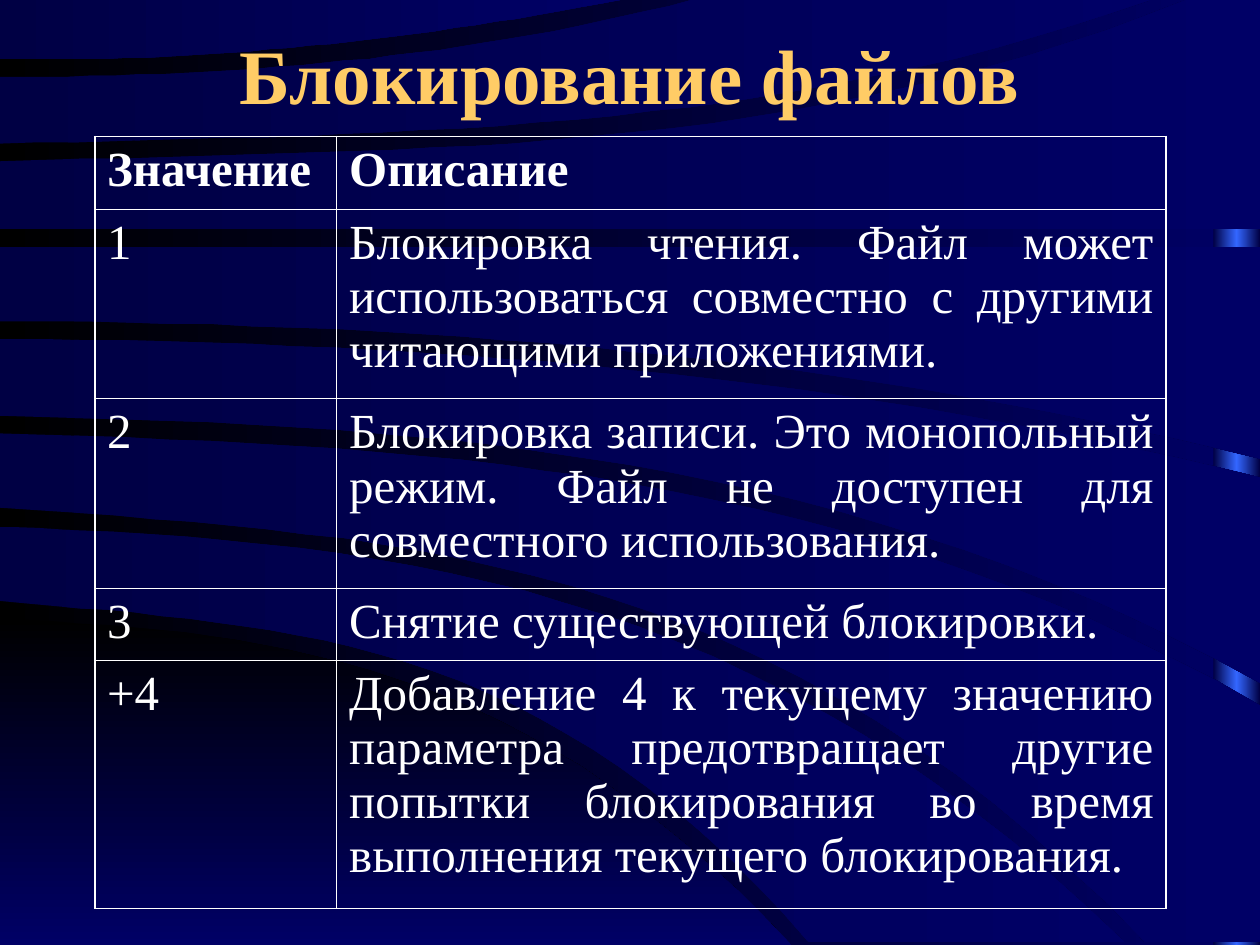
from copy import deepcopy
from lxml.etree import SubElement
from pptx import Presentation
from pptx.dml.color import RGBColor
from pptx.enum.shapes import MSO_SHAPE
from pptx.enum.text import MSO_ANCHOR, PP_ALIGN
from pptx.oxml.ns import qn
from pptx.util import Cm, Pt


def paint(fill, angle, *tones):
    fill.gradient()
    fill.gradient_angle = angle
    for stop, tone in zip(fill.gradient_stops, tones):
        stop.color.rgb = RGBColor.from_string(tone)


def write(frame, text, size=28, tone="FFFFFF", bold=False, align=PP_ALIGN.JUSTIFY):
    frame.word_wrap = True
    para = frame.paragraphs[0]
    para.alignment = align
    run = para.add_run()
    run.text = text
    run.font.name = "Times New Roman"
    run.font.size = Pt(size)
    run.font.bold = bold
    run.font.color.rgb = RGBColor.from_string(tone)


deck = Presentation()
deck.slide_width, deck.slide_height = Cm(25.4), Cm(19.05)
slide = deck.slides.add_slide(deck.slide_layouts[6])
shapes = slide.shapes
paint(slide.background.fill, 0, "000000", "000066")

bar = shapes.add_shape(MSO_SHAPE.RECTANGLE, Cm(24.46), 0, Cm(0.94), Cm(19.05))
bar.shadow.inherit = False
bar.line.fill.background()
paint(bar.fill, 0, "000044", "3366FF")
bar.fill.gradient_stops[1].position = 0.5
stops = bar._element.find(".//" + qn("a:gsLst"))
last = deepcopy(stops[0])
last.set("pos", "100000")
stops.append(last)

bands = [
    ((628, 491, 512, 584, 750), (628, 750, 750, 750, 750)),
    ((893, 418, 444, 535, 748), (642, 477, 500, 570, 748)),
    ((1000, 344, 362, 421, 560), (909, 403, 432, 523, 748)),
    ((1000, 269, 280, 314, 379), (1000, 330, 347, 406, 542)),
    ((1000, 196, 196, 196, 196), (1000, 255, 265, 299, 364)),
    ((941, 128, 119, 88, 0), (1000, 182, 182, 182, 182)),
    ((549, 61, 56, 37, 0), (913, 114, 105, 76, 0)),
    ((492, 0, 0, 0, 0), (492, 47, 43, 27, 0)),
]
unit = Cm(2.54) / 100
steps = 30
for n, pair in enumerate(bands):
    edges = []
    for wide, a, b, c, d in pair:
        edge = []
        for i in range(steps + 1):
            t = 3 * i / steps
            y = (a * (1 - t) * (2 - t) * (3 - t) / 6 + b * t * (2 - t) * (3 - t) / 2
                 + c * t * (t - 1) * (3 - t) / 2 + d * t * (t - 1) * (t - 2) / 6)
            edge.append((wide * i / steps, y))
        edges.append(edge)
    top, low = edges
    right = max(top[-1][0], low[-1][0])
    ends = [(right, top[-1][1]), (right, low[-1][1])]
    pen = shapes.build_freeform(*top[0], scale=unit)
    pen.add_line_segments(top[1:] + ends + low[::-1])
    band = pen.convert_to_shape()
    band.shadow.inherit = False
    band.line.fill.background()
    if n == 0:
        paint(band.fill, 270, "000000", "000066")
    else:
        paint(band.fill, 0, "000044", "000066")

title = shapes.add_textbox(Cm(1.9), Cm(0.43), Cm(21.6), Cm(2.1)).text_frame
title.vertical_anchor = MSO_ANCHOR.MIDDLE
write(title, "Блокирование файлов", size=44, tone="FFCC66", bold=True, align=PP_ALIGN.CENTER)

rows = [
    (1.47, "Значение", "Описание"),
    (3.81, "1", "Блокировка чтения. Файл может использоваться совместно с другими читающими приложениями."),
    (3.81, "2", "Блокировка записи. Это монопольный режим. Файл не доступен для совместного использования."),
    (1.45, "3", "Снятие существующей блокировки."),
    (5, "+4", "Добавление 4 к текущему значению параметра предотвращает другие попытки "
              "блокирования во время выполнения текущего блокирования."),
]
table = shapes.add_table(len(rows), 2, Cm(1.91), Cm(2.75), Cm(21.59), Cm(15.54)).table
table.first_row = table.horz_banding = False
table.columns[0].width, table.columns[1].width = Cm(4.88), Cm(16.71)
for r, (high, *texts) in enumerate(rows):
    table.rows[r].height = Cm(high)
    for c, text in enumerate(texts):
        cell = table.cell(r, c)
        cell.fill.background()
        cell.margin_left = cell.margin_right = Cm(0.25)
        cell.margin_top = cell.margin_bottom = Cm(0.13)
        write(cell.text_frame, text, bold=r == 0)
        props = cell._tc.get_or_add_tcPr()
        outer = {"L": c == 0, "R": c == 1, "T": r == 0, "B": r == len(rows) - 1}
        for n, (side, rim) in enumerate(outer.items()):
            line = SubElement(props, qn("a:ln" + side), w=str(Pt(1.08 if rim else 0.45)))
            solid = SubElement(line, qn("a:solidFill"))
            SubElement(solid, qn("a:srgbClr"), val="FFFFFF")
            props.insert(n, line)

deck.save("out.pptx")
